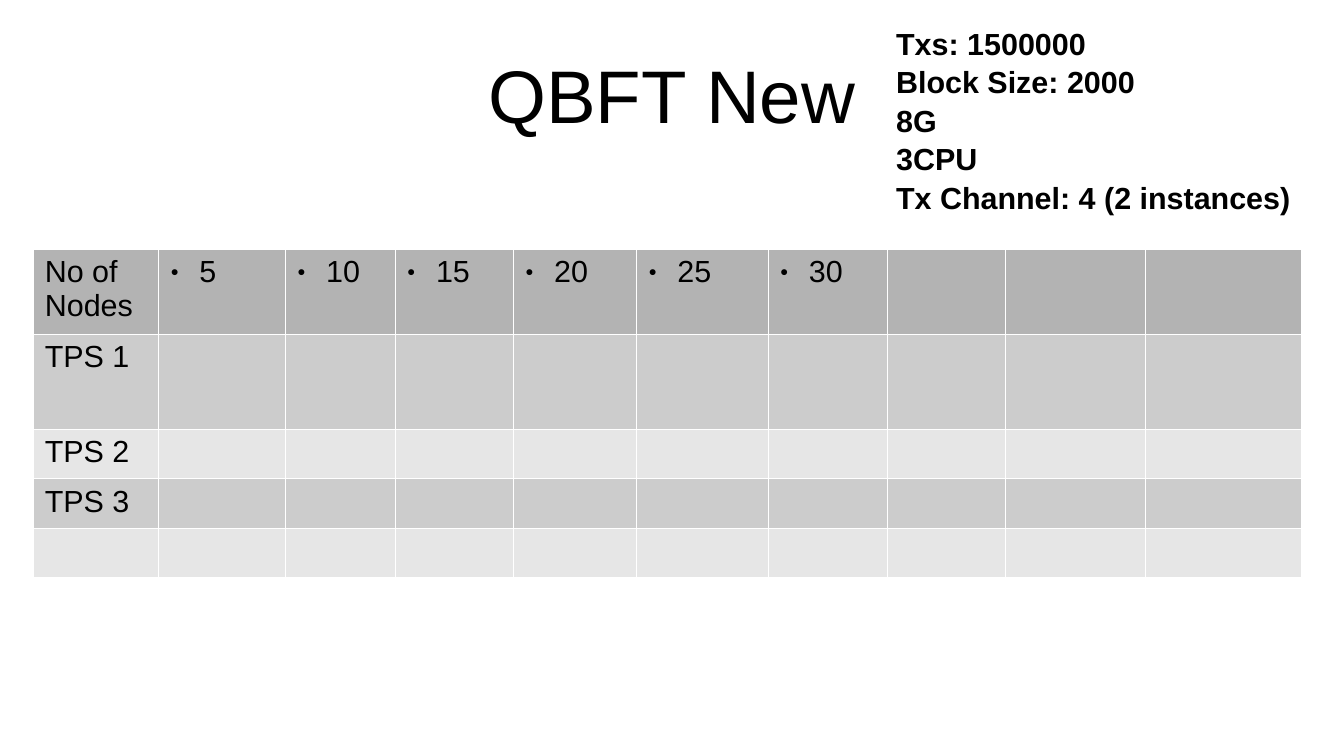
from dataclasses import dataclass

import lxml.etree
import pptx
import pptx.dml.color
import pptx.enum.text
import pptx.oxml
import pptx.oxml.ns
import pptx.util

Cm = pptx.util.Cm
Pt = pptx.util.Pt
FONT = "Arial"
COLORS = {
    "text": "000000",
    "border": "FFFFFF",
    "header": "B3B3B3",
    "dark": "CCCCCC",
    "light": "E6E6E6",
}


@dataclass
class TableRow:
    label: str
    height: float
    fill: str
    nodes: tuple[str, ...] = ()


COLUMN_WIDTHS = [2.62, 2.64, 2.29, 2.46, 2.57, 2.74, 2.49, 2.44, 2.92, 3.25]
ROWS = [
    TableRow("No of Nodes", 1.78, "header", ("5", "10", "15", "20", "25", "30")),
    TableRow("TPS 1", 1.98, "dark"),
    TableRow("TPS 2", 1.02, "light"),
    TableRow("TPS 3", 1.02, "dark"),
    TableRow("", 1.02, "light"),
]
SETTINGS = ["Txs: 1500000", "Block Size: 2000", "8G", "3CPU", "Tx Channel: 4 (2 instances)"]


def rgb(name: str) -> pptx.dml.color.RGBColor:
    return pptx.dml.color.RGBColor.from_string(COLORS[name])


def add_run(p, text: str, size: float = 18, bold: bool = False) -> None:
    r = p.add_run()
    r.text = text
    r.font.name = FONT
    r.font.size = Pt(size)
    r.font.bold = bold
    r.font.color.rgb = rgb("text")


def add_child(parent, tag: str, **attributes: str):
    return lxml.etree.SubElement(parent, pptx.oxml.ns.qn(tag), **attributes)


def add_bullet(p) -> None:
    pPr = p._p.get_or_add_pPr()
    pPr.set("marL", str(Cm(0.6)))
    pPr.set("indent", str(-Cm(0.6)))
    add_child(add_child(pPr, "a:buClr"), "a:srgbClr", val=COLORS["text"])
    add_child(pPr, "a:buSzPct", val="45000")
    add_child(pPr, "a:buFont", typeface=FONT)
    add_child(pPr, "a:buChar", char="●")


def format_cell(cell, fill: str) -> None:
    # Borders come before the fill in the cell properties
    tcPr = cell._tc.get_or_add_tcPr()
    for side in ("a:lnL", "a:lnR", "a:lnT", "a:lnB"):
        ln = add_child(tcPr, side, w=str(Pt(0.06)))
        add_child(add_child(ln, "a:solidFill"), "a:srgbClr", val=COLORS["border"])
    cell.fill.solid()
    cell.fill.fore_color.rgb = rgb(fill)


def add_title(slide) -> None:
    sp = slide.shapes.title
    sp.left, sp.top, sp.width, sp.height = Cm(1.4), Cm(0.64), Cm(25.2), Cm(2.64)
    tf = sp.text_frame
    tf.margin_left = tf.margin_right = tf.margin_top = tf.margin_bottom = 0
    tf.vertical_anchor = pptx.enum.text.MSO_ANCHOR.MIDDLE
    p = tf.paragraphs[0]
    p.alignment = pptx.enum.text.PP_ALIGN.CENTER
    add_run(p, "QBFT New", 44)


def add_results_table(slide) -> None:
    width = sum(COLUMN_WIDTHS)
    height = sum(row.height for row in ROWS)
    frame = slide.shapes.add_table(
        len(ROWS), len(COLUMN_WIDTHS), Cm(0.68), Cm(5.18), Cm(width), Cm(height))
    table = frame.table
    table.first_row = table.horz_banding = False
    for column, column_width in zip(table.columns, COLUMN_WIDTHS):
        column.width = Cm(column_width)
    for i, row in enumerate(ROWS):
        table.rows[i].height = Cm(row.height)
        for j, cell in enumerate(table.rows[i].cells):
            format_cell(cell, row.fill)
            p = cell.text_frame.paragraphs[0]
            if j == 0 and row.label:
                add_run(p, row.label)
            elif 0 < j <= len(row.nodes):
                add_bullet(p)
                add_run(p, row.nodes[j - 1])


def add_settings(slide) -> None:
    sp = slide.shapes.add_textbox(Cm(18.42), Cm(0.36), Cm(10.19), Cm(5.23))
    tf = sp.text_frame
    tf.word_wrap = True
    for i, setting in enumerate(SETTINGS):
        p = tf.add_paragraph() if i else tf.paragraphs[0]
        p.line_spacing = 1.05
        add_run(p, setting, bold=True)


def main() -> None:
    prs = pptx.Presentation()
    prs.slide_width, prs.slide_height = Cm(28), Cm(15.75)
    slide = prs.slides.add_slide(prs.slide_layouts[5])  # Title Only
    add_title(slide)
    add_results_table(slide)
    add_settings(slide)
    prs.save("out.pptx")


if __name__ == "__main__":
    main()
